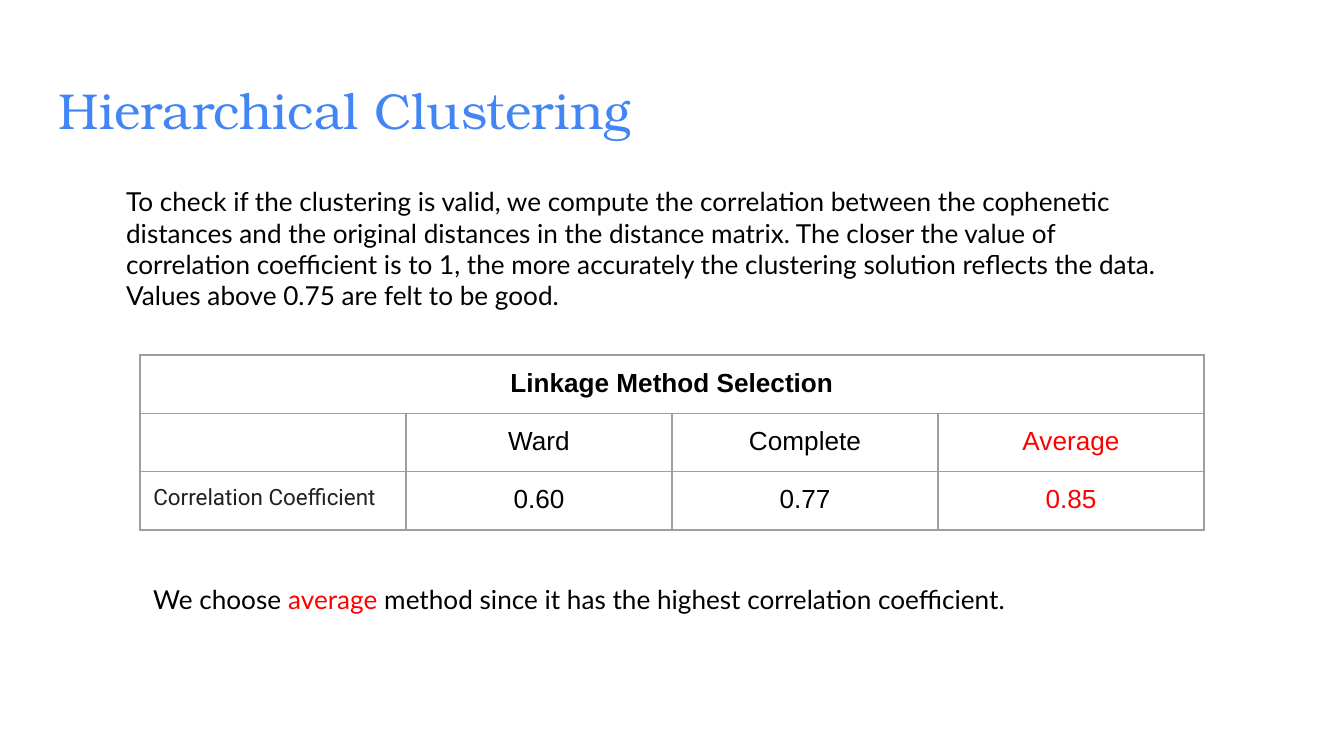
"""Build a slide on choosing a linkage method for hierarchical clustering."""
import pptx
import pptx.util
import pptx.dml.color
import pptx.enum.text
import pptx.oxml
from pptx.util import Pt

BLACK, RED, BLUE, DARK, GREY = "000000", "FF0000", "4285F4", "212121", "9E9E9E"


def add_run(p, text, size, font, color, bold=False):
    r = p.add_run()
    r.text = text
    r.font.size = Pt(size)
    r.font.name = font
    r.font.bold = bold
    r.font.color.rgb = pptx.dml.color.RGBColor.from_string(color)


prs = pptx.Presentation()
prs.slide_width, prs.slide_height = Pt(720), Pt(405)
s = prs.slides.add_slide(prs.slide_layouts[6])

texts = [
    ((24.5, 35.3, 671, 45.4), 27, "TeX Gyre Bonum", [("Hierarchical Clustering", BLUE)]),
    ((60.5, 92.2, 570, 82), 14, "Lato", [
        ("To check if the clustering is valid, we compute the correlation between "
         "the cophenetic distances and the original distances in the distance matrix. "
         "The closer the value of correlation coefficient is to 1, the more accurately "
         "the clustering solution reflects the data. Values above 0.75 are felt to be good.",
         BLACK)]),
    ((75, 305.3, 509, 31.7), 14, "Lato", [
        ("We choose ", BLACK), ("average", RED),
        (" method since it has the highest correlation coefficient.", BLACK)]),
]
for box, size, font, runs in texts:
    tf = s.shapes.add_textbox(*map(Pt, box)).text_frame
    tf.word_wrap = True
    tf.margin_left = tf.margin_right = tf.margin_top = tf.margin_bottom = Pt(7.2)
    for text, color in runs:
        add_run(tf.paragraphs[0], text, size, font, color)

rows = [
    ["Linkage Method Selection", "", "", ""],
    ["", "Ward", "Complete", "Average"],
    ["Correlation Coefficient", "0.60", "0.77", "0.85"],
]
table = s.shapes.add_table(3, 4, Pt(75), Pt(190.2), Pt(570), Pt(90)).table
table.first_row = table.horz_banding = False
for col in table.columns:
    col.width = Pt(142.5)
for i, row in enumerate(rows):
    table.rows[i].height = Pt(30)
    for j, text in enumerate(row):
        cell = table.cell(i, j)
        tc_pr = cell._tc.get_or_add_tcPr()
        for side in ("lnL", "lnR", "lnT", "lnB"):
            tc_pr.append(pptx.oxml.parse_xml(
                f'<a:{side} xmlns:a="http://schemas.openxmlformats.org/drawingml/2006/main" '
                f'w="{Pt(0.75)}"><a:solidFill><a:srgbClr val="{GREY}"/></a:solidFill></a:{side}>'))
        cell.fill.background()
        cell.margin_left = cell.margin_right = Pt(7.2)
        cell.margin_top = cell.margin_bottom = Pt(7.2 if text else 0)
        p = cell.text_frame.paragraphs[0]
        if not text:
            continue
        if (i, j) == (2, 0):
            add_run(p, text, 12, "Roboto", DARK)
        else:
            p.alignment = pptx.enum.text.PP_ALIGN.CENTER
            add_run(p, text, 14, "Arial", RED if j == 3 else BLACK, bold=i == 0)
table.cell(0, 0).merge(table.cell(0, 3))

prs.save("out.pptx")
